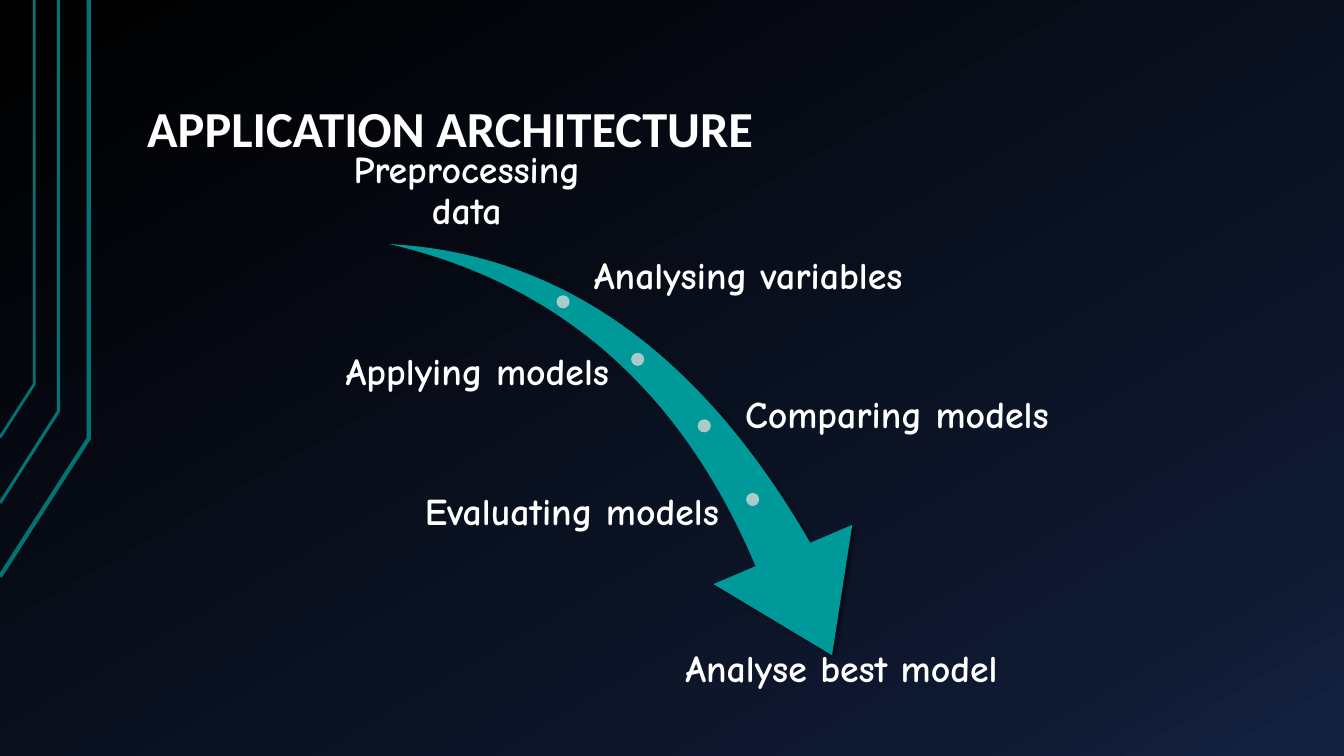
from copy import deepcopy

from pptx import Presentation
from pptx.dml.color import RGBColor
from pptx.enum import shapes, text
from pptx.oxml import ns, parse_xml
from pptx.util import Inches, Pt

BLACK = RGBColor(0x00, 0x00, 0x00)
NAVY = RGBColor(0x0F, 0x19, 0x31)
BLUE = RGBColor(0x14, 0x22, 0x42)
WHITE = RGBColor(0xFF, 0xFF, 0xFF)
PINE = RGBColor(0x00, 0x73, 0x73)
TEAL = RGBColor(0x00, 0x99, 0x99)
PALE = RGBColor(0xAB, 0xCA, 0xCA)

LEFT, MID, RIGHT = text.PP_ALIGN.LEFT, text.PP_ALIGN.CENTER, text.PP_ALIGN.RIGHT
TOP, HALF, LOW = text.MSO_ANCHOR.TOP, text.MSO_ANCHOR.MIDDLE, text.MSO_ANCHOR.BOTTOM

STEPS = [
    ("Preprocessing data", 0.69, 0, 2.44, MID, LOW),
    ("Analysing variables", 3.13, 0.88, 3.62, LEFT, HALF),
    ("Applying models", 0, 1.83, 3.36, RIGHT, HALF),
    ("Comparing models", 4.63, 2.26, 4.94, LEFT, HALF),
    ("Evaluating models", 0.83, 3.22, 3.62, RIGHT, HALF),
    ("Analyse best model", 3.98, 5.02, 3.29, MID, TOP),
]
DOTS = [(2.8, 1.54), (3.54, 2.11), (4.2, 2.77), (4.68, 3.5)]
LINES = [(0.88, 4.35, 5.72, 3), (0.58, 4.08, 4.99, 2.25), (0.34, 3.81, 4.34, 2)]

SHADOW = (
    f'<a:effectLst {ns.nsdecls("a")}>'
    '<a:outerShdw blurRad="38100" dist="25400" dir="2700000" algn="br" rotWithShape="0">'
    '<a:srgbClr val="000000"><a:alpha val="60000"/></a:srgbClr>'
    '</a:outerShdw></a:effectLst>'
)


def paint_back(slide):
    fill = slide.background.fill
    fill.gradient()
    fill.gradient_angle = 300
    stops = slide._element.find(".//" + ns.qn("a:gsLst"))
    stops.append(deepcopy(stops[-1]))
    for stop, place, tone in zip(fill.gradient_stops, (0, 0.85, 1), (BLACK, NAVY, BLUE)):
        stop.position = place
        stop.color.rgb = tone


def draw_lines(slide, left, top):
    for x, bend, end, width in LINES:
        build = slide.shapes.build_freeform(Inches(left), Inches(top + end))
        build.add_line_segments(
            [(Inches(left + x), Inches(top + bend)), (Inches(left + x), Inches(top))],
            close=False,
        )
        line = build.convert_to_shape()
        line.shadow.inherit = False
        line.fill.background()
        line.line.color.rgb = PINE
        line.line.width = Pt(width)


def write(frame, words, font, size, align, anchor, pad):
    frame.word_wrap = True
    frame.auto_size = text.MSO_AUTO_SIZE.NONE
    frame.vertical_anchor = anchor
    frame.margin_left = frame.margin_right = Inches(pad[0])
    frame.margin_top = frame.margin_bottom = Inches(pad[1])
    para = frame.paragraphs[0]
    para.alignment = align
    para.line_spacing = 0.9
    run = para.add_run()
    run.text = words
    run.font.name = font
    run.font.size = Pt(size)
    run.font.bold = True
    run.font.color.rgb = WHITE


def set_title(slide, left, top, width, height):
    title = slide.shapes.title
    title.left, title.top = Inches(left), Inches(top)
    title.width, title.height = Inches(width), Inches(height)
    write(title.text_frame, "APPLICATION ARCHITECTURE", "Calibri", 36, LEFT, LOW, (0.13, 0.07))


def add_solid(slide, kind, left, top, width, height, tone):
    shape = slide.shapes.add_shape(
        kind, Inches(left), Inches(top), Inches(width), Inches(height)
    )
    shape.shadow.inherit = False
    shape.fill.solid()
    shape.fill.fore_color.rgb = tone
    shape.line.fill.background()
    return shape


def draw_flow(slide, left, top):
    kind = shapes.MSO_SHAPE
    arrow = add_solid(slide, kind.SWOOSH_ARROW, left + 1.02, top + 1.19, 5.17, 3.6, TEAL)
    arrow.rotation = 73.3
    arrow.adjustments[0] = 0.163
    arrow.adjustments[1] = 0.314
    props = arrow._element.spPr
    props.replace(props.find(ns.qn("a:effectLst")), parse_xml(SHADOW))
    for x, y in DOTS:
        add_solid(slide, kind.OVAL, left + x, top + y, 0.13, 0.13, PALE)
    for words, x, y, width, align, anchor in STEPS:
        box = slide.shapes.add_textbox(
            Inches(left + x), Inches(top + y), Inches(width), Inches(0.96)
        )
        write(box.text_frame, words, "Comic Neue", 27, align, anchor, (0.04, 0.04))


def main():
    deck = Presentation()
    deck.slide_width, deck.slide_height = Inches(13.33), Inches(7.5)
    slide = deck.slides.add_slide(deck.slide_layouts[5])
    paint_back(slide)
    draw_lines(slide, 0, 0)
    set_title(slide, 1.33, 0.3, 11.33, 1.34)
    draw_flow(slide, 2.72, 1.39)
    deck.save("out.pptx")


if __name__ == "__main__":
    main()
